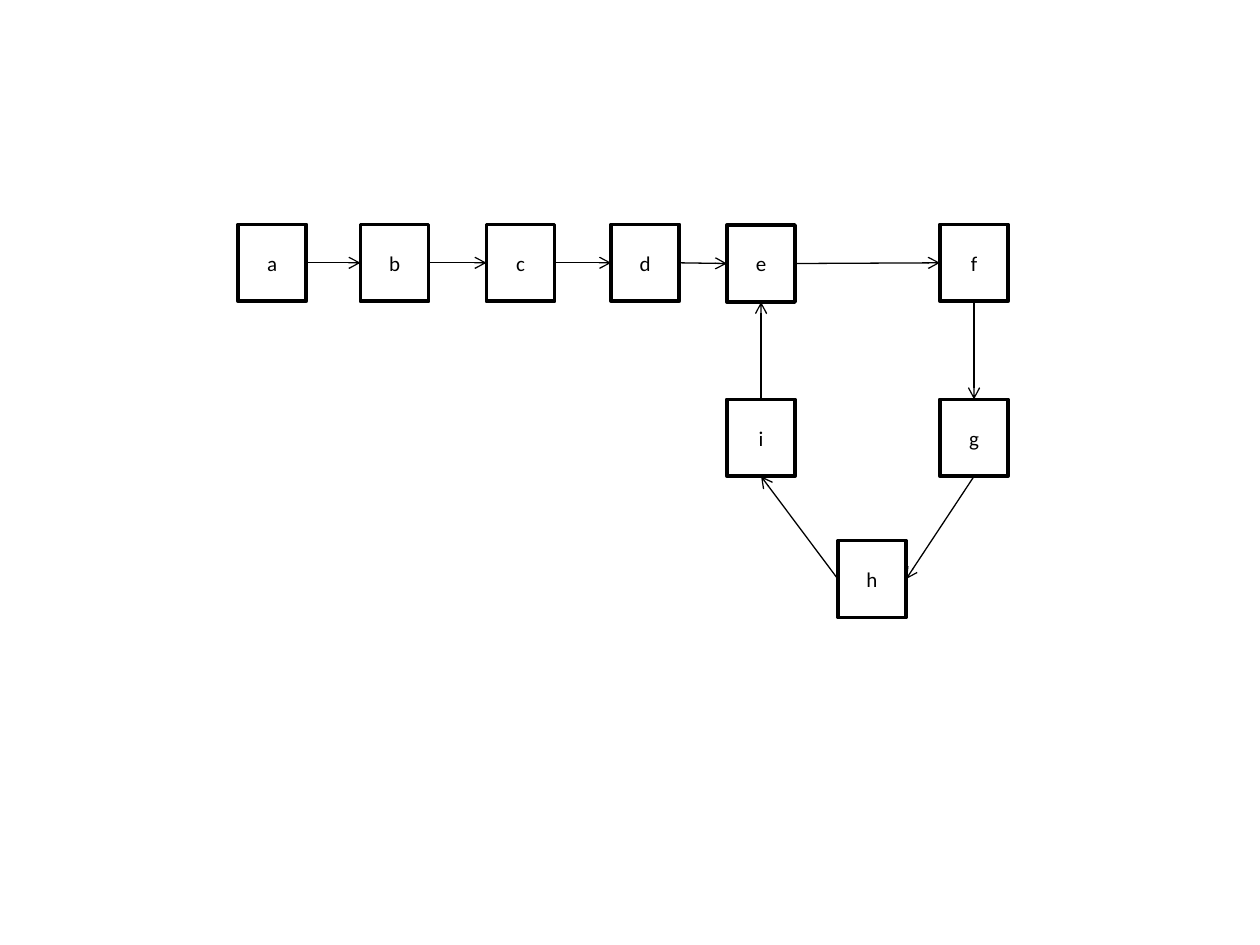
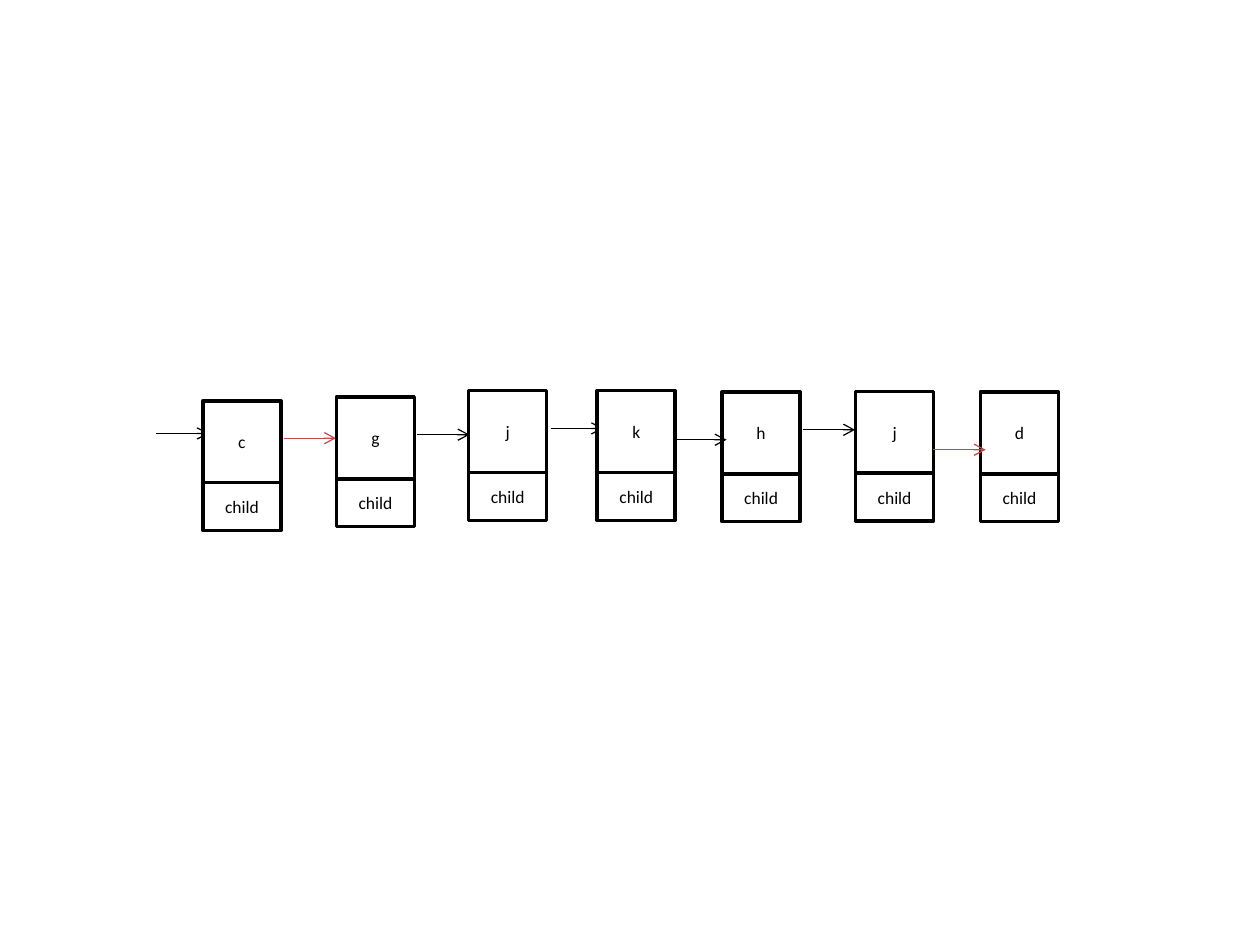
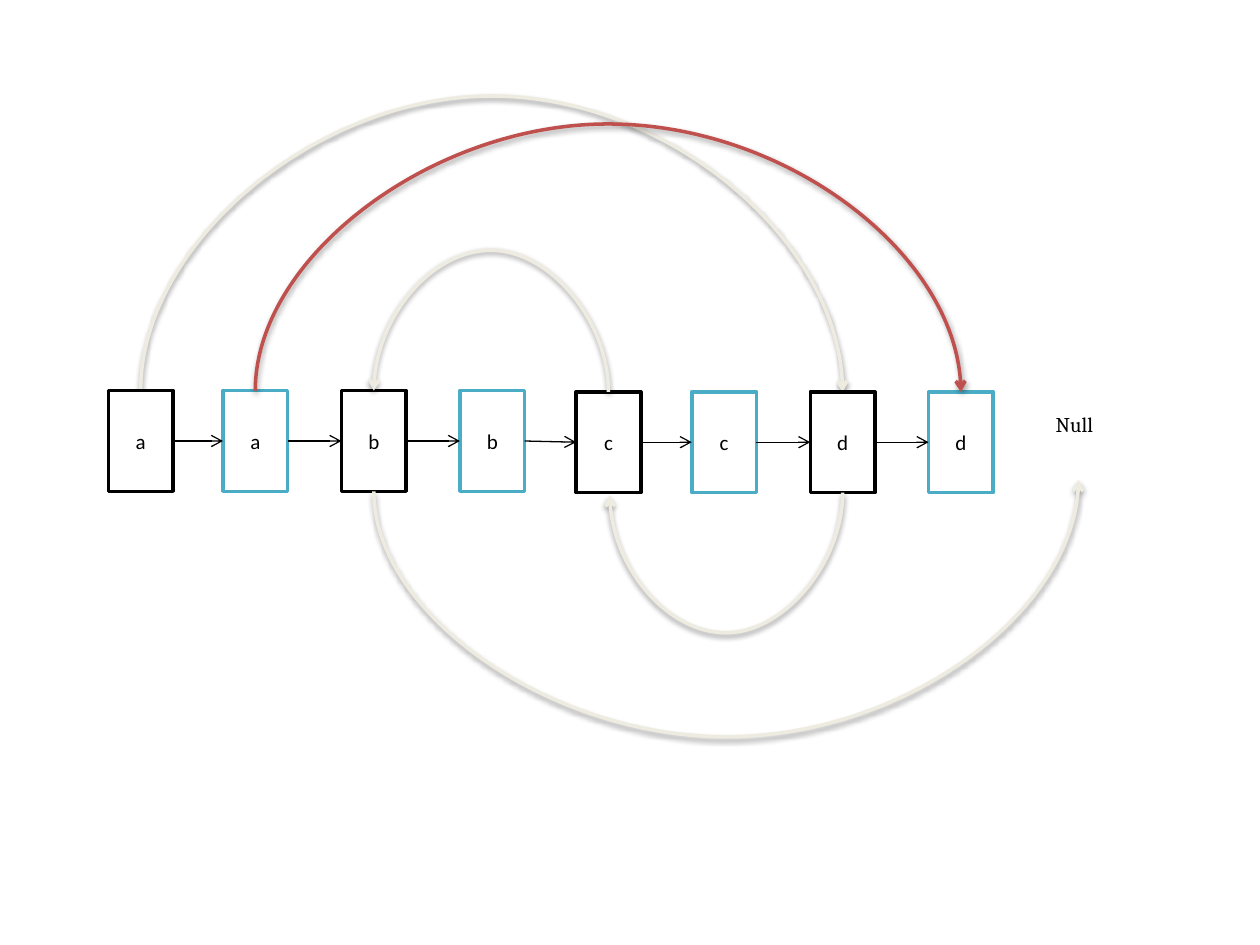
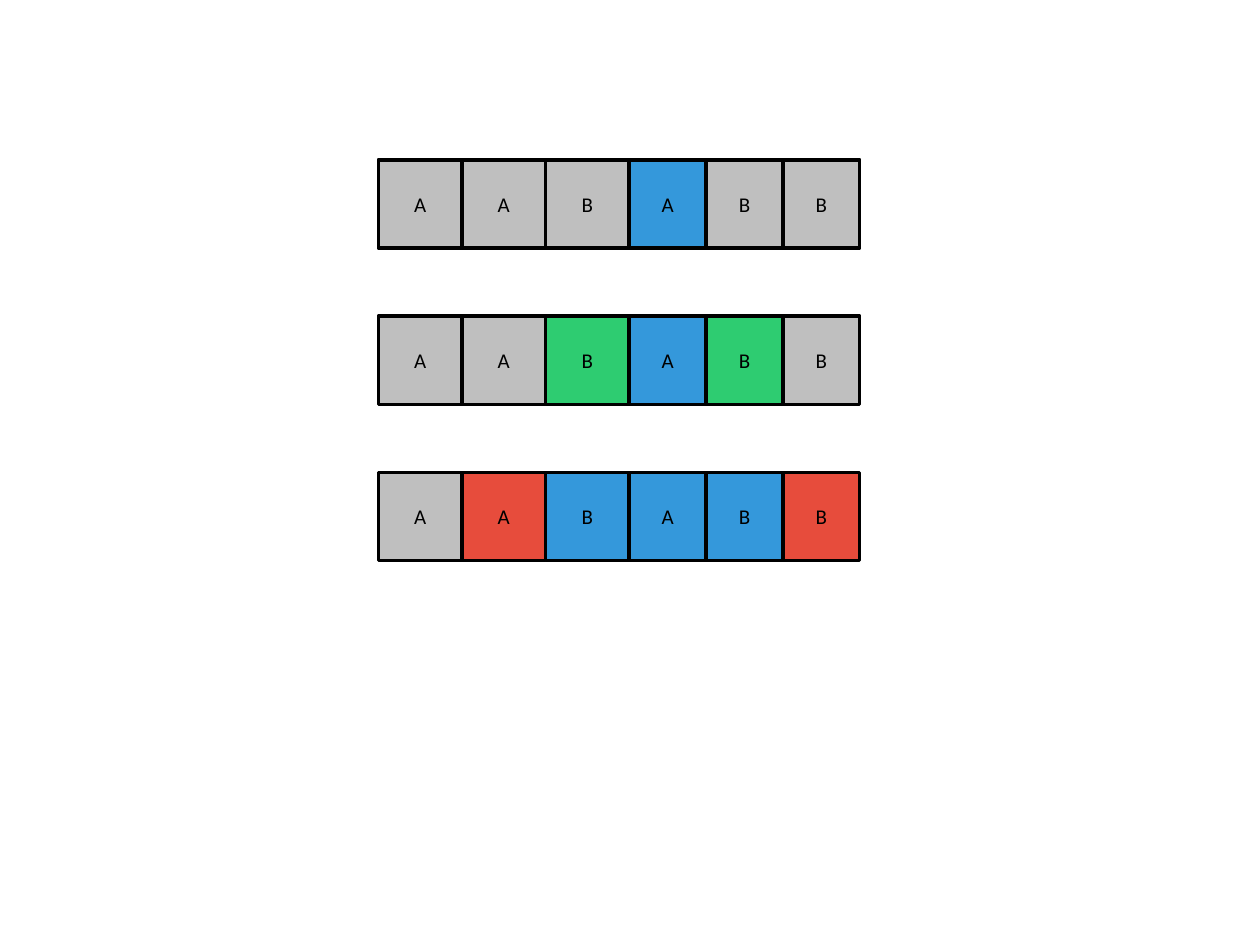
from dataclasses import dataclass
from itertools import accumulate, pairwise

from lxml import etree
from pptx import Presentation
from pptx.dml.color import RGBColor
from pptx.enum.shapes import MSO_CONNECTOR, MSO_SHAPE
from pptx.enum.text import MSO_ANCHOR, MSO_AUTO_SIZE, PP_ALIGN
from pptx.oxml.ns import qn
from pptx.shapes.connector import Connector
from pptx.slide import Slide
from pptx.text.text import _Paragraph
from pptx.util import Pt

RECTANGLE = MSO_SHAPE.RECTANGLE
STRAIGHT, CURVE = MSO_CONNECTOR.STRAIGHT, MSO_CONNECTOR.CURVE
MIDDLE, CENTER = MSO_ANCHOR.MIDDLE, PP_ALIGN.CENTER
FIT_SHAPE = MSO_AUTO_SIZE.SHAPE_TO_FIT_TEXT

BLACK = RGBColor(0x00, 0x00, 0x00)
WHITE = RGBColor(0xFF, 0xFF, 0xFF)
TEAL = RGBColor(0x4B, 0xAC, 0xC6)
CREAM = RGBColor(0xEE, 0xEC, 0xE1)
BRICK = RGBColor(0xC0, 0x50, 0x4D)
DARK_BRICK = RGBColor(0xBF, 0x4C, 0x48)
GREY = RGBColor(0xBF, 0xBF, 0xBF)
BLUE = RGBColor(0x34, 0x98, 0xDB)
GREEN = RGBColor(0x2E, 0xCC, 0x71)
RED = RGBColor(0xE7, 0x4C, 0x3C)

BODY_FONT, NULL_FONT = "Calibri", "Cambria"
BOX_LINE, ARROW_LINE = 2, 0.75

Point = tuple[float, float]


@dataclass(frozen=True)
class Box:
    text: str
    left: float
    top: float
    width: float
    height: float
    fill: RGBColor = WHITE
    border: RGBColor = BLACK
    size: float = 12

    def side(self, name: str) -> Point:
        """Return the midpoint of the named side."""
        across, down = {"left": (0, 0.5), "right": (1, 0.5),
                        "top": (0.5, 0), "bottom": (0.5, 1)}[name]
        return self.left + across * self.width, self.top + down * self.height


@dataclass(frozen=True)
class Arc:
    start: Point
    end: Point
    peak: float
    color: RGBColor = CREAM


@dataclass(frozen=True)
class ListNode:
    text: str
    left: float
    top: float
    arrow_start: Point
    arrow_color: RGBColor = BLACK
    arrow_in_front: bool = False


def set_font(paragraph: _Paragraph, size: float, name: str = BODY_FONT) -> None:
    font = paragraph.font
    font.size, font.name = Pt(size), name
    font.color.rgb = BLACK


def draw_box(slide: Slide, box: Box) -> None:
    shape = slide.shapes.add_shape(
        RECTANGLE, Pt(box.left), Pt(box.top), Pt(box.width), Pt(box.height))
    shape.shadow.inherit = False
    shape.fill.solid()
    shape.fill.fore_color.rgb = box.fill
    shape.line.color.rgb = box.border
    shape.line.width = Pt(BOX_LINE)
    shape.text_frame.vertical_anchor = MIDDLE
    paragraph = shape.text_frame.paragraphs[0]
    paragraph.text = box.text
    paragraph.alignment = CENTER
    set_font(paragraph, box.size)


def style_arrow(connector: Connector, color: RGBColor, width: float) -> etree._Element:
    """Set line and arrowhead, and return the new empty effect list."""
    connector.line.color.rgb = color
    connector.line.width = Pt(width)
    properties = connector._element.spPr
    etree.SubElement(properties.find(qn("a:ln")), qn("a:tailEnd"), type="arrow")
    return etree.SubElement(properties, qn("a:effectLst"))


def draw_arrow(slide: Slide, start: Point, end: Point, color: RGBColor = BLACK) -> None:
    connector = slide.shapes.add_connector(STRAIGHT, *map(Pt, start + end))
    style_arrow(connector, color, ARROW_LINE)


def draw_arc(slide: Slide, arc: Arc) -> None:
    """Draw a U-shaped curve: a connector turned by a quarter, bent out to the peak."""
    (x1, y1), (x2, y2) = arc.start, arc.end
    length, span = abs(y2 - y1), abs(x2 - x1)
    left, top = (x1 + x2 - length) / 2, (y1 + y2 - span) / 2
    connector = slide.shapes.add_connector(
        CURVE, Pt(left), Pt(top), Pt(left + length), Pt(top + span))
    opens_down = arc.peak < y1
    properties = connector._element.spPr
    frame = properties.find(qn("a:xfrm"))
    frame.set("rot", str((270 if opens_down else 90) * 60000))
    frame.set("flipH", str(int((y2 > y1) == opens_down)))
    frame.set("flipV", str(int((x2 > x1) != opens_down)))
    bend = round((arc.peak - y1) / (y2 - y1) * 100000)
    guides = properties.find(qn("a:prstGeom")).find(qn("a:avLst"))
    etree.SubElement(guides, qn("a:gd"), name="adj1", fmla=f"val {bend}")

    effects = style_arrow(connector, arc.color, BOX_LINE)
    shadow = etree.SubElement(effects, qn("a:outerShdw"), blurRad="40000",
                              dist="20000", dir="5400000", rotWithShape="0")
    shade = etree.SubElement(shadow, qn("a:srgbClr"), val=str(BLACK))
    etree.SubElement(shade, qn("a:alpha"), val="38000")


def build_cycle(slide: Slide) -> None:
    positions = {
        "a": (136, 128.2), "b": (206, 128.2), "c": (278, 128.2),
        "d": (349.2, 128.2), "e": (415.4, 128.6), "f": (537.1, 128.2),
        "g": (537.1, 228.2), "h": (478.8, 308.9), "i": (415.4, 228.2),
    }
    nodes = {name: Box(name, *place, 39, 44) for name, place in positions.items()}
    for node in nodes.values():
        draw_box(slide, node)
    links = [(*pair, "right", "left") for pair in pairwise("abcdef")]
    links += [("f", "g", "bottom", "top"), ("g", "h", "bottom", "right"),
              ("h", "i", "left", "bottom"), ("i", "e", "top", "bottom")]
    for source, target, exit_side, entry_side in links:
        draw_arrow(slide, nodes[source].side(exit_side), nodes[target].side(entry_side))


def build_child_list(slide: Slide) -> None:
    width, height, child_height, arrow_length = 44.6, 46.8, 27.4, 30
    nodes = [
        ListNode("c", 115.9, 229, (89.3, 247.7)),
        ListNode("g", 192.2, 226.8, (162, 250.4), DARK_BRICK),
        ListNode("j", 267.8, 223.2, (238.3, 248.4)),
        ListNode("k", 341.3, 223.2, (314.6, 244.8)),
        ListNode("h", 412.6, 223.9, (385.2, 251.3), arrow_in_front=True),
        ListNode("j", 488.9, 223.6, (458.6, 245.6)),
        ListNode("d", 560.2, 223.9, (533.3, 257), DARK_BRICK, arrow_in_front=True),
    ]

    def draw_arrows(in_front: bool) -> None:
        for node in nodes:
            if node.arrow_in_front == in_front:
                x, y = node.arrow_start
                draw_arrow(slide, (x, y), (x + arrow_length, y), node.arrow_color)

    draw_arrows(in_front=False)
    for node in nodes:
        draw_box(slide, Box(node.text, node.left, node.top, width, height, size=10))
        draw_box(slide, Box("child", node.left, node.top + height,
                            width, child_height, size=10))
    draw_arrows(in_front=True)


def build_random_pointers(slide: Slide) -> None:
    lefts = [61.9, 127.4, 195.1, 262.8, 329.2, 395.3, 463, 530.6]
    nodes = [
        Box(letter, left, 223.2 if index < 4 else 223.9, 37, 57.6,
            border=TEAL if index % 2 else BLACK)
        for index, (letter, left) in enumerate(zip("aabbccdd", lefts))
    ]
    a, a_copy, b, _, c, _, d, d_copy = nodes
    draw_arc(slide, Arc(a.side("top"), d.side("top"), 56.9))
    for node in nodes:
        draw_box(slide, node)
    for source, target in pairwise(nodes):
        draw_arrow(slide, source.side("right"), target.side("left"))

    null_label = slide.shapes.add_textbox(Pt(596.2), Pt(231.8), Pt(47.5), Pt(49.7))
    null_label.text_frame.word_wrap = False
    null_label.text_frame.auto_size = FIT_SHAPE
    paragraph = null_label.text_frame.paragraphs[0]
    paragraph.text = "Null"
    set_font(paragraph, 12, NULL_FONT)

    for arc in (
        Arc(b.side("bottom"), (616.3, 274.3), 421.2),
        Arc(c.side("top"), b.side("top"), 144),
        Arc(d.side("bottom"), (348.5, 283), 361.4),
        Arc(a_copy.side("top"), d_copy.side("top"), 72.7, BRICK),
    ):
        draw_arc(slide, arc)


def build_expansion(slide: Slide) -> None:
    widths = [47.8] * 3 + [43.9] * 3
    lefts = accumulate(widths[:-1], initial=216.2)
    columns = list(zip("AABABB", lefts, widths))
    rows = [
        [GREY, GREY, GREY, BLUE, GREY, GREY],
        [GREY, GREY, GREEN, BLUE, GREEN, GREY],
        [GREY, RED, BLUE, BLUE, BLUE, RED],
    ]
    for row, fills in enumerate(rows):
        for (letter, left, width), fill in zip(columns, fills):
            draw_box(slide, Box(letter, left, 91.4 + row * 89.3, width, 50.4, fill))


def main() -> None:
    deck = Presentation()
    deck.slide_width, deck.slide_height = Pt(720), Pt(540)
    blank = deck.slide_layouts[6]
    for build in (build_cycle, build_child_list, build_random_pointers, build_expansion):
        build(deck.slides.add_slide(blank))
    deck.save("out.pptx")


if __name__ == "__main__":
    main()
